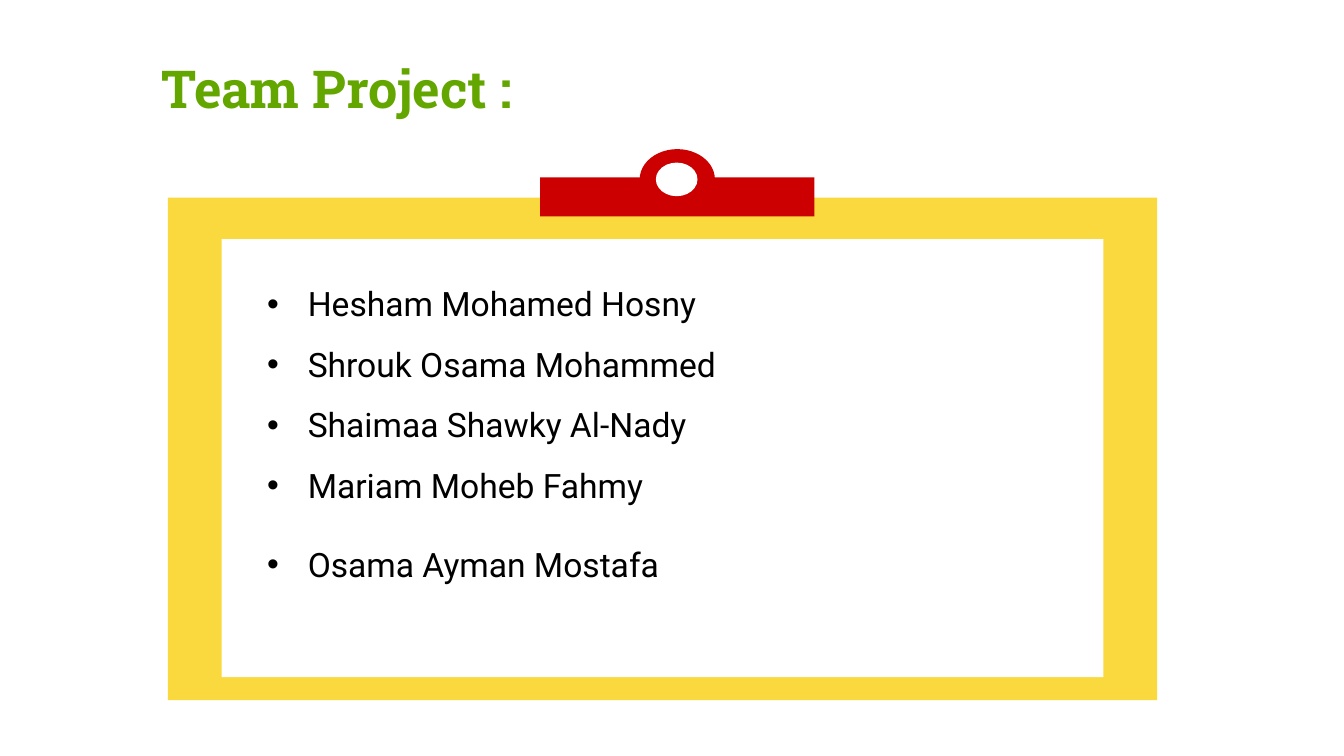
from dataclasses import dataclass

import pptx
import pptx.dml.color
import pptx.enum.shapes
import pptx.enum.text
import pptx.oxml
import pptx.oxml.ns
import pptx.util

Inches = pptx.util.Inches
Pt = pptx.util.Pt
RGBColor = pptx.dml.color.RGBColor
Shape = pptx.enum.shapes.MSO_SHAPE

YELLOW = RGBColor(0xF9, 0xD9, 0x3D)
WHITE = RGBColor(0xFF, 0xFF, 0xFF)
RED = RGBColor(0xCC, 0x00, 0x00)
GREEN = RGBColor(0x63, 0xA6, 0x00)
BLACK = RGBColor(0x00, 0x00, 0x00)


@dataclass(frozen=True)
class Part:
    preset: Shape
    left: float
    top: float
    width: float
    height: float
    color: RGBColor
    adjustments: tuple[float, ...] = ()


@dataclass(frozen=True)
class Member:
    name: str
    space_before: int = 0


CLIPBOARD = (
    Part(Shape.RECTANGLE, 1.25, 1.47, 7.36, 3.74, YELLOW),  # board
    Part(Shape.RECTANGLE, 1.65, 1.78, 6.56, 3.26, WHITE),  # paper
    Part(Shape.RECTANGLE, 4.02, 1.32, 2.04, 0.29, RED),  # clip bar
    Part(Shape.PIE, 4.76, 1.11, 0.56, 0.45, RED, (107.85, 0.11)),  # clip top
    Part(Shape.OVAL, 4.88, 1.21, 0.31, 0.25, WHITE),  # clip hole
)
TEAM = (
    Member("Hesham Mohamed Hosny", 10),
    Member("Shrouk Osama Mohammed"),
    Member("Shaimaa Shawky Al-Nady"),
    Member("Mariam Moheb Fahmy"),
    Member("Osama Ayman Mostafa", 10),
)


def draw_part(shapes, part: Part) -> None:
    shape = shapes.add_shape(part.preset, Inches(part.left), Inches(part.top),
                             Inches(part.width), Inches(part.height))
    for index, value in enumerate(part.adjustments):
        shape.adjustments[index] = value
    shape.shadow.inherit = False
    shape.fill.solid()
    shape.fill.fore_color.rgb = part.color
    shape.line.fill.background()


def format_run(run, font: str, size: int, color: RGBColor, bold: bool = False) -> None:
    run.font.name = font
    run.font.size = Pt(size)
    run.font.color.rgb = color
    run.font.bold = bold


def add_bullet(paragraph, indent: float) -> None:
    properties = paragraph._p.get_or_add_pPr()
    properties.set("marL", str(Inches(indent)))
    properties.set("indent", str(-Inches(indent)))
    namespace = pptx.oxml.ns.nsdecls("a")
    for xml in (
        f'<a:buClr {namespace}><a:srgbClr val="{BLACK}"/></a:buClr>',
        f'<a:buFont {namespace} typeface="Arial"/>',
        f'<a:buChar {namespace} char="•"/>',
    ):
        properties.append(pptx.oxml.parse_xml(xml))


def write_member(paragraph, member: Member) -> None:
    paragraph.text = f" {member.name}"
    paragraph.line_spacing = 1.5
    paragraph.space_before = Pt(member.space_before)
    add_bullet(paragraph, 0.24)
    format_run(paragraph.runs[0], "Roboto", 18, BLACK)


def main() -> None:
    # Widescreen 16:9 slide
    presentation = pptx.Presentation()
    presentation.slide_width = Inches(10)
    presentation.slide_height = presentation.slide_width * 9 // 16
    slide = presentation.slides.add_slide(presentation.slide_layouts[5])

    # Clipboard
    clipboard = slide.shapes.add_group_shape()
    for part in CLIPBOARD:
        draw_part(clipboard.shapes, part)

    # Title
    title = slide.shapes.title
    title.left, title.top = Inches(1.1), Inches(0.51)
    title.width, title.height = Inches(8.44), Inches(0.45)
    frame = title.text_frame
    frame.margin_left = frame.margin_right = Inches(0.1)
    frame.margin_top = frame.margin_bottom = Inches(0.1)
    frame.vertical_anchor = pptx.enum.text.MSO_ANCHOR.MIDDLE
    frame.text = "Team Project :"
    heading = frame.paragraphs[0]
    heading.alignment = pptx.enum.text.PP_ALIGN.LEFT
    heading.line_spacing = 0.5
    heading.space_before = Pt(24)
    format_run(heading.runs[0], "Roboto Slab", 28, GREEN, bold=True)

    # Team members
    members = slide.shapes.add_textbox(Inches(1.89), Inches(1.91), Inches(4.7), Inches(2.46))
    members.text_frame.word_wrap = True
    members.text_frame.auto_size = pptx.enum.text.MSO_AUTO_SIZE.SHAPE_TO_FIT_TEXT
    for index, member in enumerate(TEAM):
        paragraph = (members.text_frame.add_paragraph() if index
                     else members.text_frame.paragraphs[0])
        write_member(paragraph, member)

    presentation.save("out.pptx")


if __name__ == "__main__":
    main()
